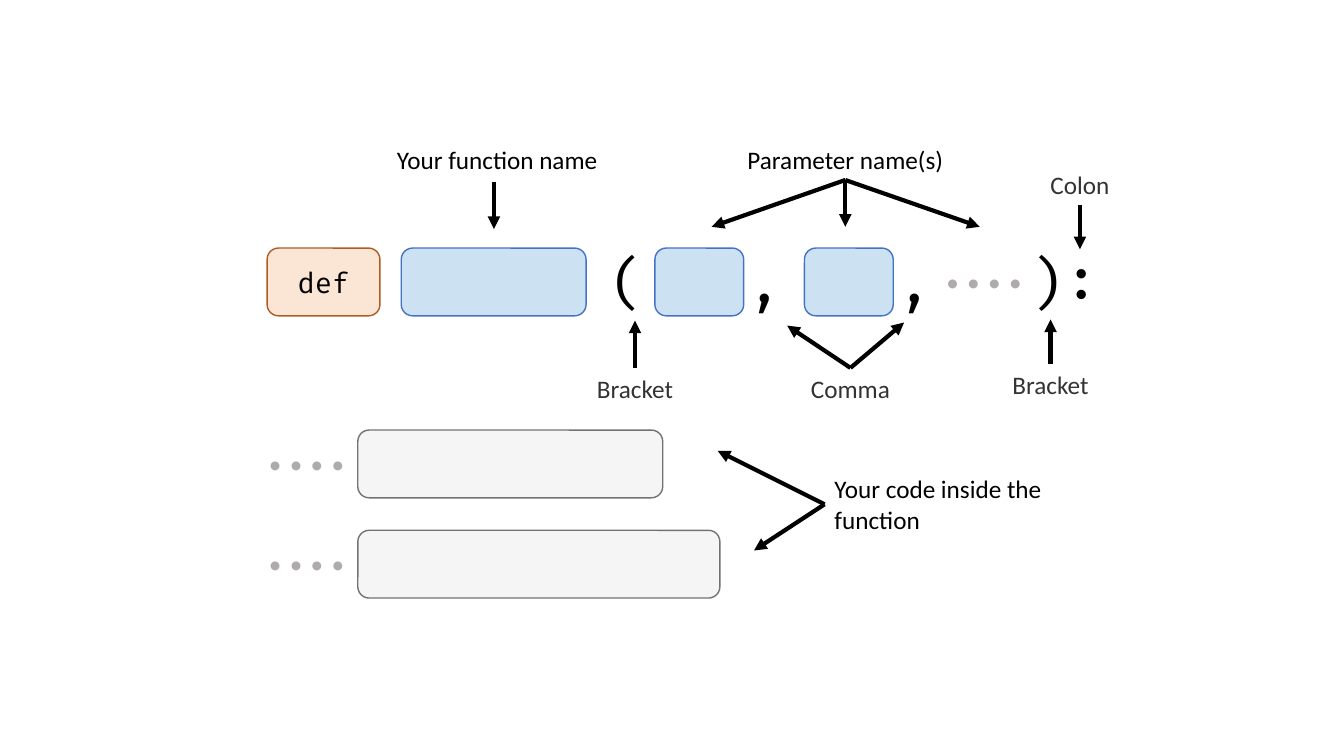
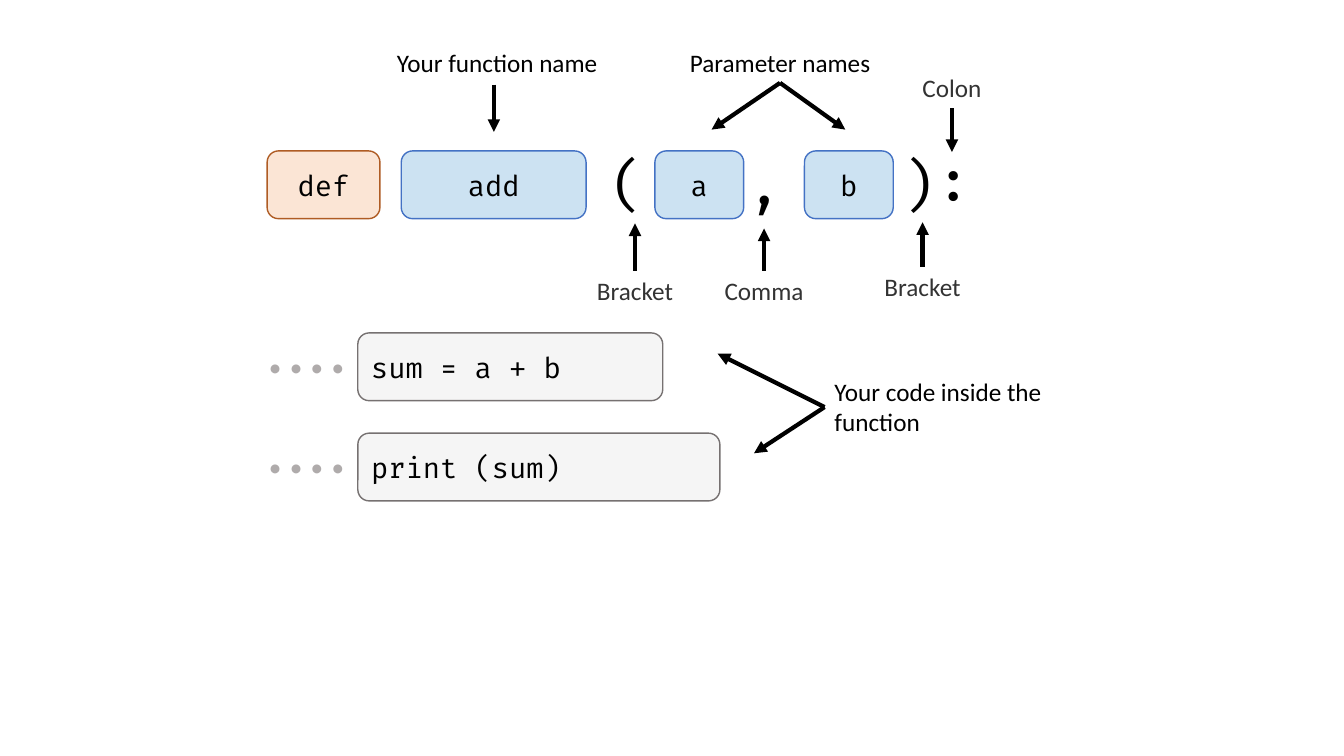
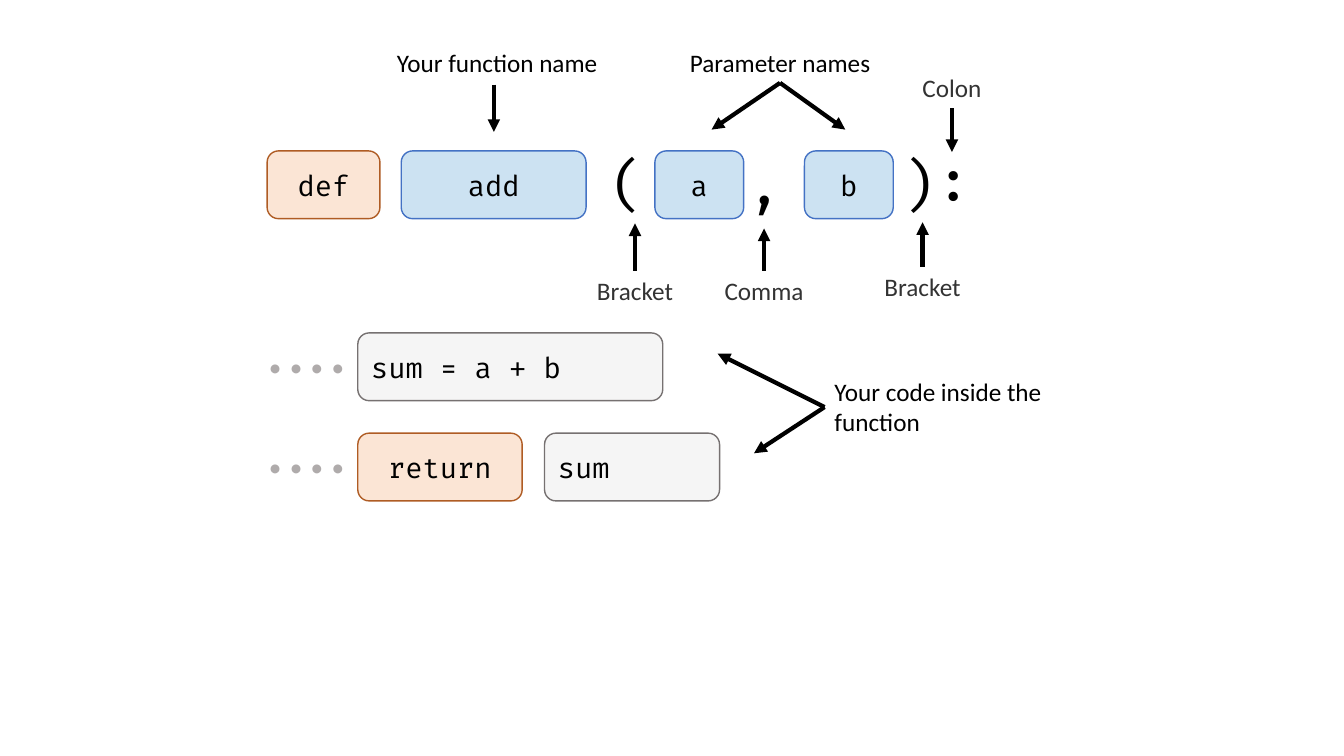
from lxml import etree
from pptx import Presentation
from pptx.dml.color import RGBColor
from pptx.enum import shapes, text
from pptx.oxml import ns
from pptx.util import Pt

BLACK = RGBColor(0, 0, 0)
DARK = RGBColor(0x33, 0x33, 0x33)
SILVER = RGBColor(0xAF, 0xAB, 0xAB)

# Fill and line of each kind of box
KEY = RGBColor(0xED, 0x7D, 0x31), RGBColor(0xAF, 0x5C, 0x24)
NAME = RGBColor(0x00, 0x70, 0xC0), RGBColor(0x44, 0x72, 0xC4)
CODE = RGBColor(0xD0, 0xCE, 0xCE), RGBColor(0x76, 0x71, 0x71)

SANS, MONO = "Calibri", "Fira Code"
LEFT, MID = text.PP_ALIGN.LEFT, text.PP_ALIGN.CENTER
HIGH = 48.4             # height of every box
ROWS = 130, 201.6       # body rows, below the top of the signature
BODY = 255.6            # left edge of the body boxes


def add(node, tag, **attrs):
    return etree.SubElement(node, ns.qn(tag), attrs)


class Board:
    """A slide whose heights are counted from the top of the signature row."""

    def __init__(self, deck, top):
        self.shapes = deck.slides.add_slide(deck.slide_layouts[6]).shapes
        self.top = top

    def place(self, x, y, wide, high):
        return Pt(x), Pt(self.top + y), Pt(wide), Pt(high)

    def letter(self, frame, words, size, font, color, align):
        frame.word_wrap = True
        para = frame.paragraphs[0]
        para.alignment = align
        para.font.size, para.font.name = Pt(size), font
        para.font.color.rgb = color
        run = para.add_run()
        run.text = words
        return run

    def box(self, kind, x, y, wide, words="", align=MID):
        shape = self.shapes.add_shape(
            shapes.MSO_SHAPE.ROUNDED_RECTANGLE, *self.place(x, y, wide, HIGH))
        shape.shadow.inherit = False
        shape.fill.solid()
        shape.fill.fore_color.rgb, shape.line.color.rgb = kind
        shape.line.width = Pt(1)
        tint = shape.element.spPr.find(ns.qn("a:solidFill"))[0]
        add(tint, "a:alpha", val="20000")
        if words:
            shape.text_frame.vertical_anchor = text.MSO_ANCHOR.MIDDLE
            self.letter(shape.text_frame, words, 20, MONO, BLACK, align)

    def label(self, x, y, wide, words, color=BLACK, align=LEFT, high=28.8):
        frame = self.shapes.add_textbox(
            *self.place(x, y, wide, high)).text_frame
        return self.letter(frame, words, 18, SANS, color, align)

    def note(self, mid, y, words, color=DARK, wide=108):
        self.label(mid - wide / 2, y, wide, words, color, MID)

    def sign(self, x, words, wide=49.7):
        frame = self.shapes.add_textbox(
            *self.place(x, -4.2, wide, 55.4)).text_frame
        self.letter(frame, words, 40, MONO, BLACK, LEFT)

    def dots(self, x, y):
        run = self.label(x, y + 9.4, 92, "••••", SILVER)
        run._r.get_or_add_rPr().set("spc", "600")

    def arrows(self, start, *ends):
        x, y = start
        for tox, toy in ends:
            arrow = self.shapes.add_connector(
                shapes.MSO_CONNECTOR.STRAIGHT, Pt(x), Pt(self.top + y),
                Pt(tox), Pt(self.top + toy))
            arrow.line.color.rgb, arrow.line.width = BLACK, Pt(3)
            props = arrow.element.spPr
            add(props.find(ns.qn("a:ln")), "a:tailEnd", type="triangle")
            add(props, "a:effectLst")


def head(board, close, name="", first="", second=""):
    """The signature row, with its closing bracket at close."""
    board.box(KEY, 190.8, 0, 80.6, "def")
    board.box(NAME, 286.6, 0, 132, name)
    board.sign(429.2, "(")
    board.box(NAME, 467.8, 0, 63.4, first)
    board.sign(527, ",")
    board.box(NAME, 574.6, 0, 63.4, second)
    board.sign(close, "):", 69)

    # Function name
    board.label(276.5, -77.8, 177, "Your function name")
    board.arrows((352.8, -47.4), (352.8, -13.6))

    # Brackets and colon
    board.note(453.6, 85.6, "Bracket")
    board.arrows((453.6, 85.6), (453.6, 51.8))
    end, colon = close + 21.8, close + 42.8
    board.note(end, 82.8, "Bracket")
    board.arrows((end, 82.8), (end, 51))
    board.note(colon, -59.8, "Colon")
    board.arrows((colon, -30.6), (colon, 0.8))


def params(board, mid, words, *ends):
    board.note(mid, -77.8, words, BLACK, 220)
    board.arrows((mid, -48.6), *((x, -15.2) for x in ends))


def commas(board, mid, *ends):
    board.note(mid, 85.6, "Comma")
    board.arrows((mid, 85.6), *ends)


def tail(board):
    """Indents and the note on the body."""
    for y in ROWS:
        board.dots(185, y)
    board.label(589, 157.6, 196.6, "Your code inside the function", high=51)
    board.arrows((589, 183), (512.6, 144.8), (538.6, 216))


def blank(deck):
    board = Board(deck, 177.2)
    head(board, 728.6)
    board.sign(634.3, ",")
    board.dots(668.9, 0)
    params(board, 603.8, "Parameter name(s)", 508.3, 603.8, 699.8)
    commas(board, 607.5, (562.3, 55.4), (645.8, 53.2))
    for y, wide in zip(ROWS, (217.8, 258.6)):
        board.box(CODE, BODY, y, wide)
    tail(board)


def filled(deck):
    """The example up to the first line of its body."""
    board = Board(deck, 107.8)
    head(board, 637.2, "add", "a", "b")
    params(board, 557.2, "Parameter names", 508.3, 603.8)
    commas(board, 545.8, (545.8, 55.4))
    board.box(CODE, BODY, ROWS[0], 217.8, "sum = a + b", LEFT)
    tail(board)
    return board


def main():
    deck = Presentation()
    deck.slide_width, deck.slide_height = Pt(960), Pt(540)

    # Empty pattern
    blank(deck)

    # Function that prints
    board = filled(deck)
    board.box(CODE, BODY, ROWS[1], 258.6, "print (sum)", LEFT)

    # Function that returns
    board = filled(deck)
    board.box(KEY, BODY, ROWS[1], 117.4, "return")
    board.box(CODE, 389, ROWS[1], 125, "sum", LEFT)

    deck.save("out.pptx")


main()
